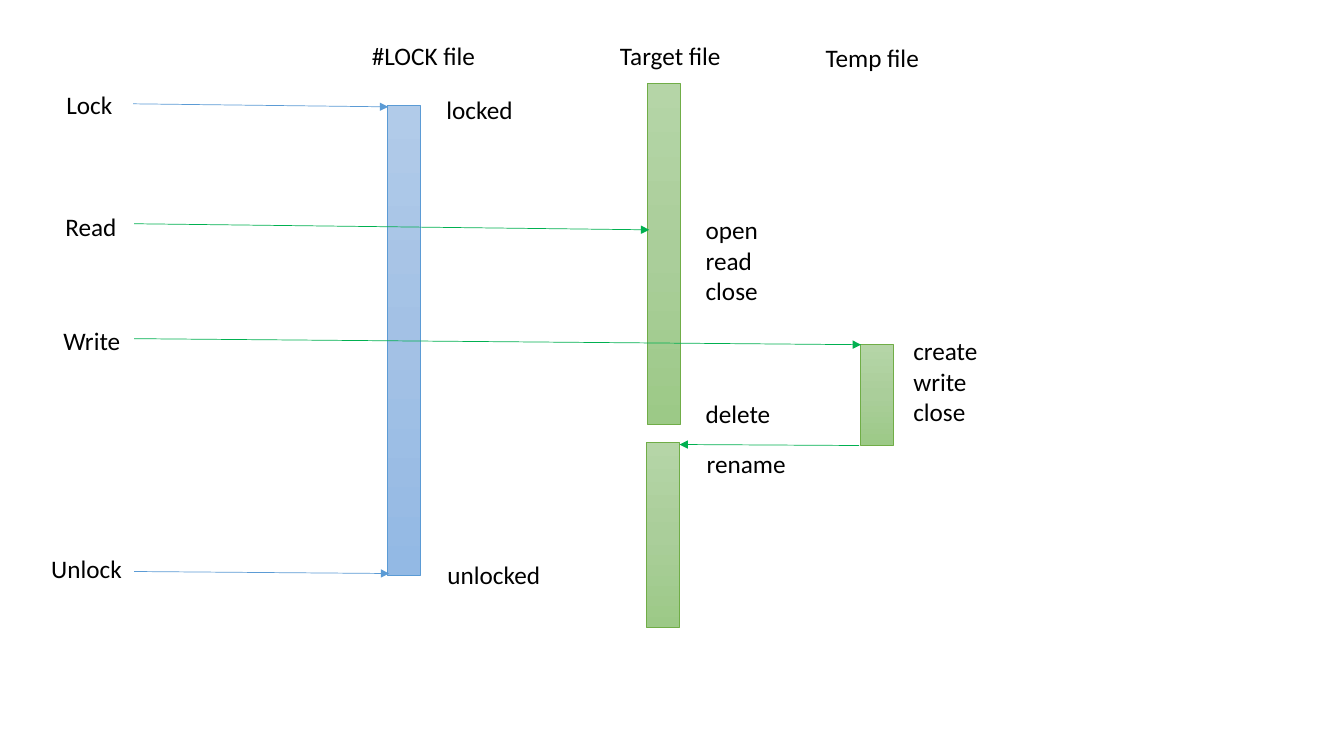
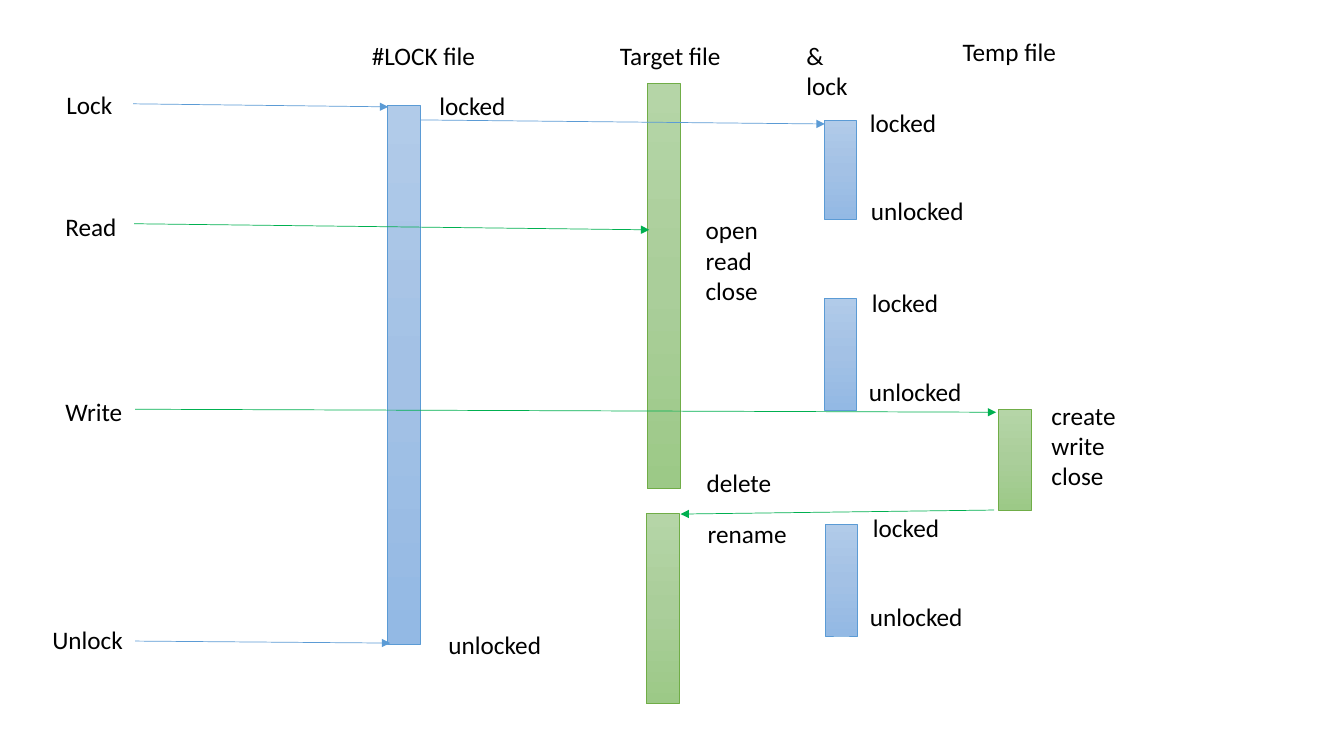
"""Build two sequence diagrams of file access under a lock file."""
from copy import deepcopy
from dataclasses import dataclass

from lxml.etree import SubElement
from pptx import Presentation
from pptx.dml.color import RGBColor
from pptx.enum.shapes import MSO_CONNECTOR, MSO_SHAPE
from pptx.enum.text import MSO_AUTO_SIZE
from pptx.oxml.ns import qn
from pptx.slide import Slide
from pptx.util import Inches, Pt

SLIDE_W, SLIDE_H = Inches(13.33), Inches(7.5)
CELL = SLIDE_H / 75

BLACK = RGBColor(0x00, 0x00, 0x00)
BLUE = RGBColor(0x5B, 0x9B, 0xD5)
GREEN = RGBColor(0x70, 0xAD, 0x47)
ARROW_GREEN = RGBColor(0x00, 0xB0, 0x50)
GRADIENTS = {
    BLUE: (RGBColor(0xB1, 0xCB, 0xE9), RGBColor(0xA3, 0xC1, 0xE5), RGBColor(0x93, 0xB9, 0xE4)),
    GREEN: (RGBColor(0xB5, 0xD5, 0xA7), RGBColor(0xAA, 0xCE, 0x9A), RGBColor(0x9C, 0xC9, 0x87)),
}

FONT, FONT_SIZE = "Calibri", Pt(18)
LINE_WIDTH = Pt(0.5)
BAR_COLS, LOCK_BAR_COLS = 3.3, 3.1
LABEL_ROWS, EXTRA_LINE_ROWS = 4, 3.05

READ_STEPS = "open\vread\nclose"
WRITE_STEPS = "create\vwrite\nclose"
LABEL_COLS = {
    "#LOCK file": 12.4, "Target file": 12.1, "Temp file": 11.4, "& lock": 8.3,
    "Lock": 6.6, "Read": 7.1, "Write": 7.7, "Unlock": 9.1,
    "locked": 8.7, "unlocked": 11.3, "delete": 8.5, "rename": 9.9,
    READ_STEPS: 7.3, WRITE_STEPS: 8.5,
}


@dataclass(frozen=True)
class Label:
    """Text at a column and row."""
    text: str
    col: float
    row: float


@dataclass(frozen=True)
class Bar:
    """Lifeline bar, in grid cells."""
    col: float
    row: float
    rows: float
    color: RGBColor
    cols: float = BAR_COLS


@dataclass(frozen=True)
class Arrow:
    """Message from one grid point to another."""
    col: float
    row: float
    end_col: float
    end_row: float
    color: RGBColor


@dataclass(frozen=True)
class Diagram:
    """Everything one slide adds to the shared parts."""
    bars: tuple[Bar, ...]
    labels: tuple[Label, ...]
    arrows: tuple[Arrow, ...]


SHARED_LABELS = (
    Label("#LOCK file", 35.9, 3.5),
    Label("Target file", 60.5, 3.5),
    Label("Lock", 5.6, 8.4),
    Label("Read", 5.5, 20.5),
    Label(READ_STEPS, 69, 20.8),
)
SHARED_ARROWS = (
    Arrow(13.2, 10.3, 38.5, 10.6, BLUE),
    Arrow(13.3, 22.2, 64.4, 22.8, ARROW_GREEN),
)

SIMPLE = Diagram(
    bars=(
        Bar(38.4, 10.5, 46.6, BLUE),
        Bar(64.2, 8.3, 33.8, GREEN),
        Bar(64.1, 43.9, 18.3, GREEN),
        Bar(85.3, 34.2, 10, GREEN),
    ),
    labels=(
        Label("Temp file", 80.9, 3.7),
        Label("Write", 5.3, 31.8),
        Label("Unlock", 4.1, 54.4),
        Label("locked", 43.3, 8.9),
        Label("unlocked", 43.4, 55),
        Label(WRITE_STEPS, 89.6, 32.8),
        Label("delete", 69, 39),
        Label("rename", 69.1, 44),
    ),
    arrows=(
        Arrow(13.3, 56.7, 38.6, 56.9, BLUE),
        Arrow(13.3, 33.6, 85.4, 34.2, ARROW_GREEN),
        Arrow(85.2, 44.2, 67.4, 44.1, ARROW_GREEN),
    ),
)

NESTED = Diagram(
    bars=(
        Bar(38.4, 10.5, 53.4, BLUE),
        Bar(64.2, 8.3, 40.2, GREEN),
        Bar(64.1, 50.9, 18.9, GREEN),
        Bar(99, 40.6, 10, GREEN),
        Bar(81.8, 11.9, 9.9, BLUE, LOCK_BAR_COLS),
        Bar(81.8, 29.6, 11.1, BLUE, LOCK_BAR_COLS),
        Bar(81.9, 52, 11.1, BLUE, LOCK_BAR_COLS),
    ),
    labels=(
        Label("& lock", 79, 3.5),
        Label("Temp file", 94.5, 3.1),
        Label("Write", 5.5, 38.8),
        Label("Unlock", 4.2, 61.4),
        Label("locked", 42.6, 8.5),
        Label("unlocked", 43.5, 61.9),
        Label(WRITE_STEPS, 103.3, 39.2),
        Label("delete", 69.1, 45.9),
        Label("rename", 69.2, 50.9),
        Label("locked", 85.3, 10.2),
        Label("unlocked", 85.4, 18.9),
        Label("locked", 85.5, 28),
        Label("unlocked", 85.2, 36.8),
        Label("locked", 85.6, 50.3),
        Label("unlocked", 85.3, 59.2),
    ),
    arrows=(
        Arrow(13.4, 63.6, 38.7, 63.8, BLUE),
        Arrow(13.4, 40.6, 98.8, 40.9, ARROW_GREEN),
        Arrow(98.6, 50.6, 67.5, 51, ARROW_GREEN),
        Arrow(41.7, 11.9, 81.8, 12.3, BLUE),
    ),
)


def cells(*counts: float) -> list[int]:
    """Convert grid counts to slide lengths."""
    return [round(count * CELL) for count in counts]


def draw_bar(s: Slide, bar: Bar) -> None:
    """Draw a lifeline bar with a vertical gradient."""
    sp = s.shapes.add_shape(MSO_SHAPE.RECTANGLE, *cells(bar.col, bar.row, bar.cols, bar.rows))
    sp.shadow.inherit = False
    sp.line.color.rgb = bar.color
    sp.line.width = LINE_WIDTH
    sp.fill.gradient()
    sp.fill.gradient_angle = 270
    stops = sp._element.spPr.find(".//" + qn("a:gsLst"))
    stops.insert(1, deepcopy(stops[0]))
    for stop, color, position in zip(sp.fill.gradient_stops, GRADIENTS[bar.color], (0, 0.5, 1)):
        stop.color.rgb = color
        stop.position = position


def draw_label(s: Slide, label: Label) -> None:
    """Draw a text label sized to its lines."""
    rows = LABEL_ROWS + EXTRA_LINE_ROWS * (len(label.text.splitlines()) - 1)
    sp = s.shapes.add_textbox(*cells(label.col, label.row, LABEL_COLS[label.text], rows))
    tf = sp.text_frame
    tf.text = label.text
    tf.word_wrap = False
    tf.auto_size = MSO_AUTO_SIZE.SHAPE_TO_FIT_TEXT
    for p in tf.paragraphs:
        for r in p.runs:
            r.font.name = FONT
            r.font.size = FONT_SIZE
            r.font.color.rgb = BLACK


def draw_arrow(s: Slide, arrow: Arrow) -> None:
    """Draw a message arrow."""
    ends = cells(arrow.col, arrow.row, arrow.end_col, arrow.end_row)
    line = s.shapes.add_connector(MSO_CONNECTOR.STRAIGHT, *ends)
    line.line.color.rgb = arrow.color
    line.line.width = LINE_WIDTH
    SubElement(line.line._get_or_add_ln(), qn("a:tailEnd"), type="triangle")
    SubElement(line._element.spPr, qn("a:effectLst"))


def draw_diagram(s: Slide, diagram: Diagram) -> None:
    """Draw the shared and own parts of a diagram."""
    for bar in diagram.bars:
        draw_bar(s, bar)
    for label in SHARED_LABELS + diagram.labels:
        draw_label(s, label)
    for arrow in SHARED_ARROWS + diagram.arrows:
        draw_arrow(s, arrow)


def main() -> None:
    """Build and save the presentation."""
    prs = Presentation()
    prs.slide_width, prs.slide_height = SLIDE_W, SLIDE_H
    blank = prs.slide_layouts.get_by_name("Blank")
    for diagram in (SIMPLE, NESTED):
        draw_diagram(prs.slides.add_slide(blank), diagram)
    prs.save("out.pptx")


if __name__ == "__main__":
    main()
